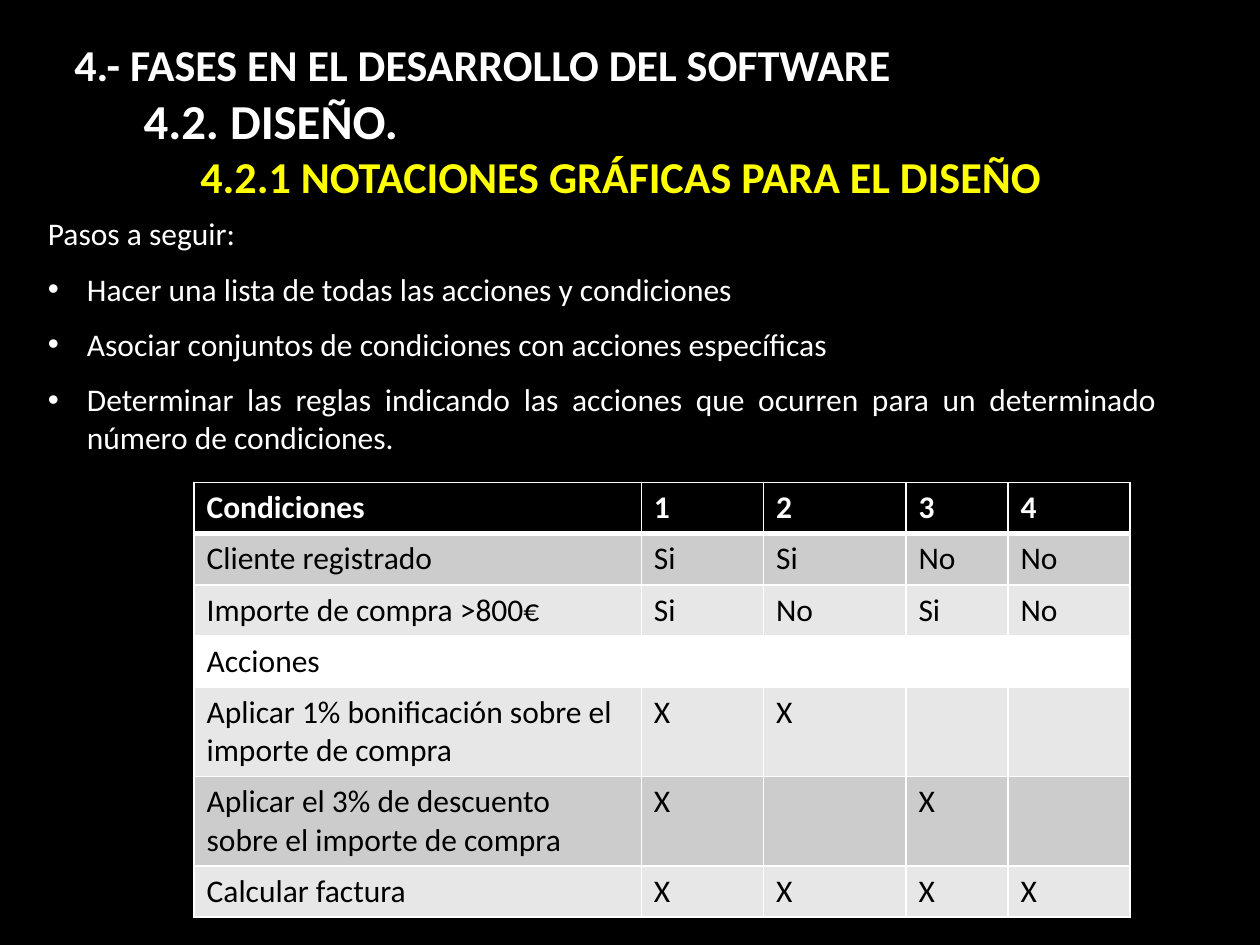
from lxml import etree
from pptx import Presentation
from pptx.dml.color import RGBColor
from pptx.enum.text import MSO_ANCHOR, MSO_AUTO_SIZE, PP_ALIGN
from pptx.oxml.ns import qn
from pptx.util import Inches, Pt

LEFT, JUSTIFY = PP_ALIGN.LEFT, PP_ALIGN.JUSTIFY
MIDDLE, NO_FIT = MSO_ANCHOR.MIDDLE, MSO_AUTO_SIZE.NONE
COLORS = {"black": "000000", "white": "FFFFFF", "yellow": "FFFF00",
          "dark band": "CCCCCC", "light band": "E7E7E7"}


def add_span(para, text, size, color, bold=False):
    span = para.add_run()
    span.text = text
    span.font.name = "Calibri"
    span.font.size = Pt(size)
    span.font.bold = bold
    span.font.color.rgb = RGBColor.from_string(COLORS[color])


def add_color(parent, tag, color):
    node = etree.SubElement(parent, qn(tag))
    etree.SubElement(node, qn("a:srgbClr"), val=COLORS[color])


deck = Presentation()
deck.slide_width, deck.slide_height = Inches(10), Inches(7.5)
page = deck.slides.add_slide(deck.slide_layouts[1])
page.background.fill.solid()
page.background.fill.fore_color.rgb = RGBColor.from_string(COLORS["black"])

# Title and body placeholders
title, body = page.shapes.title, page.placeholders[1]
for box, place in ((title, (0.49, 0.25, 9, 1.4)), (body, (0.28, 1.64, 9, 2.04))):
    box.left, box.top, box.width, box.height = map(Inches, place)
    box.text_frame.word_wrap = True
    box.text_frame.auto_size = NO_FIT
    box.text_frame.vertical_anchor = MIDDLE

# Heading, one indent step per level
headings = [
    ("4.- FASES EN EL DESARROLLO DEL SOFTWARE", 25.2, "white", 0),
    ("4.2. DISEÑO.", 27.9, "white", 0.55),
    ("4.2.1 NOTACIONES GRÁFICAS PARA EL DISEÑO", 25.2, "yellow", 1),
]
for index, (text, size, color, indent) in enumerate(headings):
    frame = title.text_frame
    para = frame.add_paragraph() if index else frame.paragraphs[0]
    para.alignment = LEFT
    para.space_before = Pt(0)
    para._p.get_or_add_pPr().set("marL", str(Inches(indent)))
    add_span(para, text, size, color, bold=True)

# Steps: an introduction and three bullets
steps = [
    "Pasos a seguir:",
    "Hacer una lista de todas las acciones y condiciones",
    "Asociar conjuntos de condiciones con acciones específicas",
    "Determinar las reglas indicando las acciones que ocurren para un "
    "determinado número de condiciones.",
]
for index, text in enumerate(steps):
    frame = body.text_frame
    para = frame.add_paragraph() if index else frame.paragraphs[0]
    para.alignment = JUSTIFY
    para.space_before, para.space_after = Pt(0), Pt(10)
    indent = Inches(0.31 if index else 0)
    props = para._p.get_or_add_pPr()
    props.set("marL", str(indent))
    props.set("indent", str(-indent))
    if index:
        add_color(props, "a:buClr", "white")
        etree.SubElement(props, qn("a:buFont"), typeface="Arial")
        etree.SubElement(props, qn("a:buChar"), char="•")
    else:
        etree.SubElement(props, qn("a:buNone"))
    add_span(para, text, 18, "white")

# Decision table: row fill, row height, cell texts
rows = [
    ("black", 0.4, ["Condiciones", "1", "2", "3", "4"]),
    ("dark band", 0.4, ["Cliente registrado", "Si", "Si", "No", "No"]),
    ("light band", 0.4, ["Importe de compra >800€", "Si", "No", "Si", "No"]),
    ("white", 0.4, ["Acciones", "", "", "", ""]),
    ("light band", 0.71, ["Aplicar 1% bonificación sobre el importe de compra",
                          "X", "X", "", ""]),
    ("dark band", 0.71, ["Aplicar el 3% de descuento sobre el importe de compra",
                         "X", "", "X", ""]),
    ("light band", 0.4, ["Calcular factura", "X", "X", "X", "X"]),
]
widths = [3.55, 0.97, 1.13, 0.81, 0.97]
table = page.shapes.add_table(
    len(rows), len(widths), Inches(1.54), Inches(3.83),
    Inches(sum(widths)), Inches(sum(row[1] for row in rows))).table
for column, width in zip(table.columns, widths):
    column.width = Inches(width)

for row_index, (fill, height, texts) in enumerate(rows):
    table.rows[row_index].height = Inches(height)
    header = row_index == 0
    for column_index, text in enumerate(texts):
        cell = table.cell(row_index, column_index)
        props = cell._tc.get_or_add_tcPr()
        for side in "LRTB":
            # The rule between header and first row is thicker
            thick = (row_index, side) in ((0, "B"), (1, "T"))
            line = etree.SubElement(props, qn(f"a:ln{side}"),
                                    w=str(Pt(3 if thick else 1)))
            add_color(line, "a:solidFill", "white")
        cell.fill.solid()
        cell.fill.fore_color.rgb = RGBColor.from_string(COLORS[fill])
        if text:
            add_span(cell.text_frame.paragraphs[0], text, 18,
                     "white" if header else "black", bold=header)

deck.save("out.pptx")
